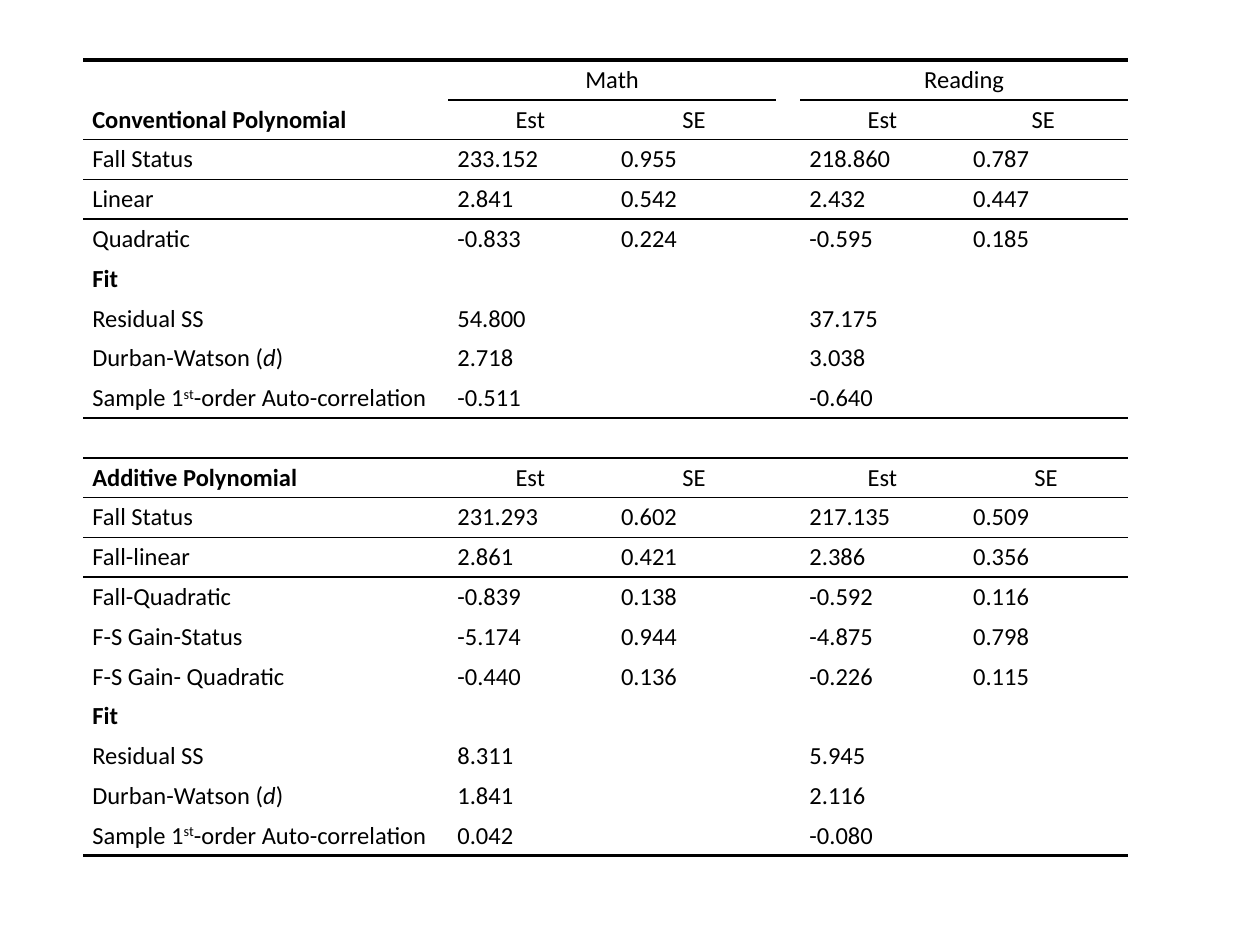
from lxml.etree import SubElement as Sub
from pptx import Presentation
from pptx.dml.color import RGBColor as RGB
from pptx.enum.text import PP_ALIGN as AL
from pptx.oxml.ns import qn
from pptx.util import Cm, Pt

COLORS = {"ink": "000000"}
FONT = {"name": "Calibri", "size": Pt(14)}
MARGINS = {"margin_left": Cm(0.18), "margin_right": Cm(0.18),
           "margin_top": Cm(0.1), "margin_bottom": Cm(0.1)}
FLAGS = {"first_row": False, "horz_banding": False}
NO_STYLE = "{2D5ABB26-0587-4C30-8999-92F81FD0307C}"
BOX = (1.68, 1.21, 21.06, 15.8)
COL_WIDTHS = (7.36, 3.3, 3.3, 0.5, 3.3, 3.3)
THICK, THIN = 2.25, 1
CENTERED = ("Math", "Reading", "Est", "SE", "SE ")
BOLD = ("Conventional Polynomial", "Additive Polynomial", "Fit")
DURBIN = (("Durban-Watson (", {}), ("d", {"i": "1"}), (")", {}))
AUTOCORR = (("Sample 1", {}), ("st", {"baseline": "30000"}),
            ("-order Auto-correlation", {}))
ROWS = [
    ("", "Math", "", "", "Reading", ""),
    ("Conventional Polynomial", "Est", "SE", "", "Est", "SE "),
    ("Fall Status", "233.152", "0.955", "", "218.860", "0.787"),
    ("Linear", "2.841", "0.542", "", "2.432", "0.447"),
    ("Quadratic", "-0.833", "0.224", "", "-0.595", "0.185"),
    ("Fit", "", "", "", "", ""),
    ("Residual SS", "54.800", "", "", "37.175", ""),
    (DURBIN, "2.718", "", "", "3.038", ""),
    (AUTOCORR, "-0.511", "", "", "-0.640", ""),
    ("", "", "", "", "", ""),
    ("Additive Polynomial", "Est", "SE", "", "Est", "SE"),
    ("Fall Status", "231.293", "0.602", "", "217.135", "0.509"),
    ("Fall-linear", "2.861", "0.421", "", "2.386", "0.356"),
    ("Fall-Quadratic", "-0.839", "0.138", "", "-0.592", "0.116"),
    ("F-S Gain-Status", "-5.174", "0.944", "", "-4.875", "0.798"),
    ("F-S Gain- Quadratic", "-0.440", "0.136", "", "-0.226", "0.115"),
    ("Fit", "", "", "", "", ""),
    ("Residual SS", "8.311", "", "", "5.945", ""),
    (DURBIN, "1.841", "", "", "2.116", ""),
    (AUTOCORR, "0.042", "", "", "-0.080", ""),
]
RULES = {0: THICK, 2: THIN, 3: THIN, 9: THIN, 10: THIN, 11: THIN,
         12: THIN, len(ROWS): THICK}
GROUP_RULE, GROUP_COLS = 1, {1, 2, 4, 5}


def set_all(obj, values):
    """Set every attribute named in a dict of format values."""
    for name, value in values.items():
        setattr(obj, name, value)


def rule_width(edge, col):
    """Return the width of the horizontal rule at a row edge, or None."""
    if edge == GROUP_RULE:
        return THIN if col in GROUP_COLS else None
    return RULES.get(edge)


def draw_border(cell, tag, width):
    """Draw one solid border on a cell."""
    ln = Sub(cell._tc.get_or_add_tcPr(), qn(tag), w=str(int(Pt(width))))
    Sub(Sub(ln, qn("a:solidFill")), qn("a:srgbClr"), val=COLORS["ink"])


def write_cell(cell, content):
    """Write plain or mixed text into a cell."""
    p = cell.text_frame.paragraphs[0]
    if not content:
        Sub(p._p, qn("a:endParaRPr"), sz="1400")
        return
    p.alignment = AL.CENTER if content in CENTERED else AL.LEFT
    runs = ((content, {}),) if isinstance(content, str) else content
    for text, extra in runs:
        r = p.add_run()
        r.text = text
        set_all(r.font, {**FONT, "bold": content in BOLD})
        r.font.color.rgb = RGB.from_string(COLORS["ink"])
        for key, value in extra.items():
            r._r.get_or_add_rPr().set(key, value)


def add_results_table(s, box):
    """Add the table of polynomial estimates inside the given box."""
    left, top, width, height = box
    frame = s.shapes.add_table(len(ROWS), len(COL_WIDTHS), Cm(left), Cm(top),
                               Cm(width), Cm(height))
    tbl = frame.table
    set_all(tbl, FLAGS)
    tbl._tbl.tblPr.find(qn("a:tableStyleId")).text = NO_STYLE
    for col, share in zip(tbl.columns, COL_WIDTHS):
        col.width = Cm(width * share / sum(COL_WIDTHS))
    for i, row in enumerate(ROWS):
        tbl.rows[i].height = Cm(height / len(ROWS))
        for j, content in enumerate(row):
            cell = tbl.cell(i, j)
            set_all(cell, MARGINS)
            write_cell(cell, content)
            for tag, edge in (("a:lnT", i), ("a:lnB", i + 1)):
                rule = rule_width(edge, j)
                if rule:
                    draw_border(cell, tag, rule)
            cell.fill.background()
    for j in (1, 4):
        tbl.cell(0, j).merge(tbl.cell(0, j + 1))


def main():
    """Build the slide and save it."""
    prs = Presentation()
    set_all(prs, {"slide_width": Cm(25.4), "slide_height": Cm(19.05)})
    s = prs.slides.add_slide(prs.slide_layouts[6])
    add_results_table(s, BOX)
    prs.save("out.pptx")


if __name__ == "__main__":
    main()
